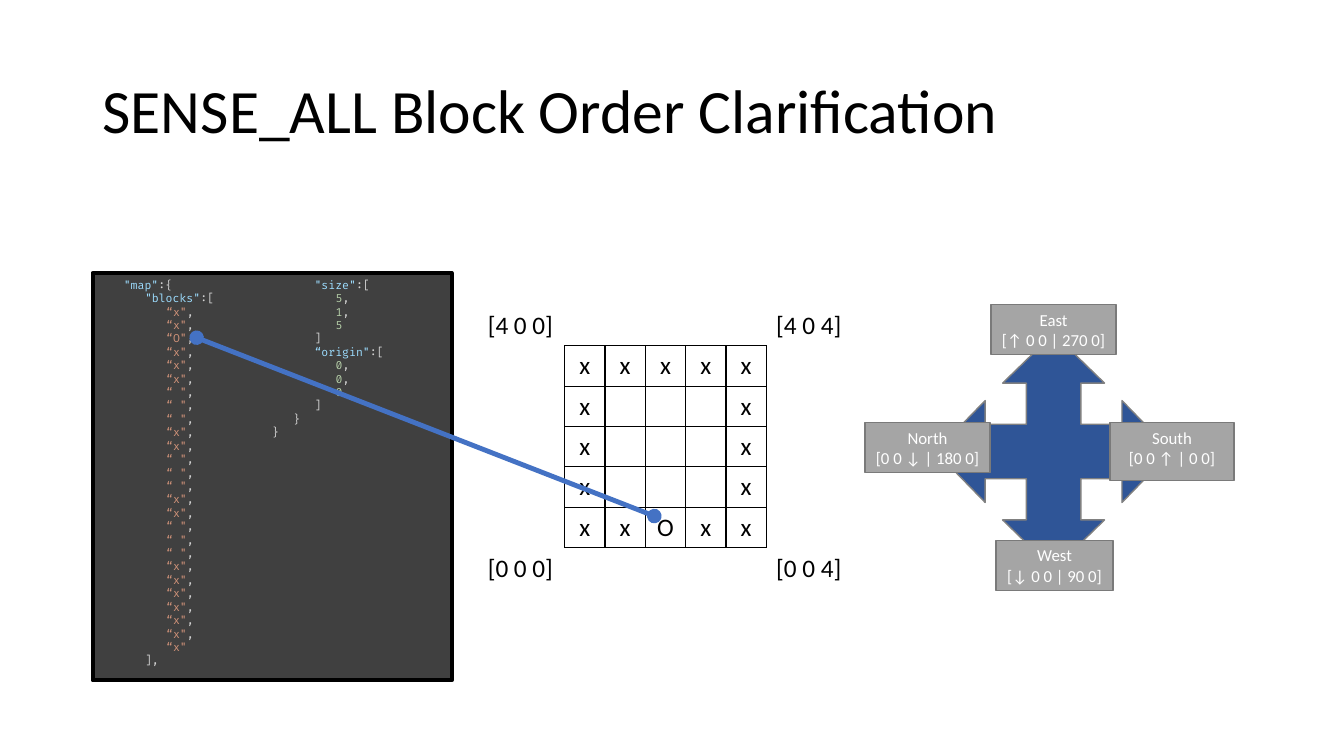
"""Build the SENSE_ALL block order slide: map listing, block grid and compass."""
import pptx
import pptx.dml.color
import pptx.enum.shapes
import pptx.enum.text
import pptx.oxml
import pptx.oxml.ns
import pptx.util

Inches = pptx.util.Inches
Pt = pptx.util.Pt
RGBColor = pptx.dml.color.RGBColor
Shape = pptx.enum.shapes.MSO_SHAPE
Align = pptx.enum.text.PP_ALIGN
Anchor = pptx.enum.text.MSO_ANCHOR

BLACK = RGBColor(0x00, 0x00, 0x00)
WHITE = RGBColor(0xFF, 0xFF, 0xFF)
PANEL = RGBColor(0x40, 0x40, 0x40)
PUNCTUATION = RGBColor(0xD4, 0xD4, 0xD4)
KEY = RGBColor(0x9C, 0xDC, 0xFE)
STRING = RGBColor(0xCE, 0x91, 0x78)
NUMBER = RGBColor(0xB5, 0xCE, 0xA8)
COMPASS = RGBColor(0x2F, 0x55, 0x97)
COMPASS_EDGE = RGBColor(0x80, 0x80, 0x80)
LABEL = RGBColor(0xA5, 0xA5, 0xA5)
LABEL_EDGE = RGBColor(0x7A, 0x7A, 0x7A)
POINTER = RGBColor(0x44, 0x72, 0xC4)


def write(paragraph, text, size=18, color=BLACK, font="Calibri", align=Align.LEFT):
    paragraph.alignment = align
    run = paragraph.add_run()
    run.text = text
    run.font.size = Pt(size)
    run.font.name = font
    run.font.color.rgb = color


def add_block(kind, box, fill, edge, weight):
    block = slide.shapes.add_shape(kind, *map(Inches, box))
    block.shadow.inherit = False
    block.fill.solid()
    block.fill.fore_color.rgb = fill
    block.line.color.rgb = edge
    block.line.width = Pt(weight)
    block.text_frame.vertical_anchor = Anchor.TOP
    return block


deck = pptx.Presentation()
deck.slide_width = Inches(13.33)
deck.slide_height = Inches(7.5)
slide = deck.slides.add_slide(deck.slide_layouts[6])

title = slide.shapes.add_textbox(Inches(0.92), Inches(0.4), Inches(11.5), Inches(1.45)).text_frame
title.word_wrap = True
title.vertical_anchor = Anchor.MIDDLE
title.paragraphs[0].line_spacing = 0.9
write(title.paragraphs[0], "SENSE_ALL Block Order Clarification", size=44)

block_rows = ["xxxxx", "x   x", "x   x", "x   x", "xxOxx"]
grid = slide.shapes.add_table(5, 5, Inches(5.6), Inches(3.43), Inches(2), Inches(2)).table
grid.first_row = False
grid.horz_banding = False
for column in grid.columns:
    column.width = Inches(0.4)
for r, block_row in enumerate(block_rows):
    grid.rows[r].height = Inches(0.4)
    for c, mark in enumerate(block_row):
        cell = grid.cell(r, c)
        cell.vertical_anchor = Anchor.MIDDLE
        write(cell.text_frame.paragraphs[0], mark.strip(), align=Align.CENTER)
        for side in ("lnL", "lnR", "lnT", "lnB"):
            cell._tc.get_or_add_tcPr().append(pptx.oxml.parse_xml(
                f'<a:{side} {pptx.oxml.ns.nsdecls("a")} w="12700"><a:solidFill>'
                f'<a:srgbClr val="{BLACK}"/></a:solidFill></a:{side}>'))
        cell.fill.background()

for corner, left, top in [("[0 0 0]", 4.74, 5.43), ("[0 0 4]", 7.6, 5.43),
                          ("[4 0 0]", 4.74, 3.02), ("[4 0 4]", 7.6, 3.02)]:
    coordinates = slide.shapes.add_textbox(Inches(left), Inches(top), Inches(0.86), Inches(0.4))
    coordinates.text_frame.word_wrap = False
    write(coordinates.text_frame.paragraphs[0], corner)

marks = "".join(reversed(block_rows)) + "x"
listing = [(1, '"map"', KEY, ":{"), (2, '"blocks"', KEY, ":[")]
listing += [(3, f'“{mark}"', STRING, ",") for mark in marks[:-1]]
listing += [(3, f'“{marks[-1]}"', STRING, ""), (2, "", KEY, "],")]
for name, values in [('"size"', "515"), ('“origin"', "000")]:
    listing.append((2, name, KEY, ":["))
    listing += [(3, value, NUMBER, ",") for value in values[:-1]]
    listing += [(3, values[-1], NUMBER, ""), (2, "", KEY, "]")]
listing += [(1, "", KEY, "}"), (0, "", KEY, "}")]

code = add_block(Shape.RECTANGLE, (0.92, 2.71, 3.56, 4.04), PANEL, BLACK, 3).text_frame
code.word_wrap = True
code._txBody.bodyPr.set("numCol", "2")
for i, (level, token, token_color, ending) in enumerate(listing):
    line = code.paragraphs[0] if i == 0 else code.add_paragraph()
    line._p.get_or_add_pPr().set("marL", str(Inches(0.21 * level)))
    for piece, color in [(token, token_color), (ending, PUNCTUATION)]:
        if piece:
            write(line, piece, size=8, color=color, font="Fira Code")

compass = add_block(Shape.QUAD_ARROW, (9.28, 3.31, 2.34, 2.34), COMPASS, COMPASS_EDGE, 1)
for i, ratio in enumerate((0.231, 0.216, 0.21)):
    compass.adjustments[i] = ratio

directions = [
    ("East", "[↑ 0 0 | 270 0]", (9.83, 3.02, 1.24, 0.5)),
    ("South", "[0 0 ↑ | 0 0]", (11.01, 4.19, 1.23, 0.58)),
    ("West", "[↓ 0 0 | 90 0]", (9.88, 5.36, 1.16, 0.5)),
    ("North", "[0 0 ↓ | 180 0]", (8.58, 4.19, 1.24, 0.5)),
]
for direction, heading, box in directions:
    label = add_block(Shape.RECTANGLE, box, LABEL, LABEL_EDGE, 1).text_frame
    label.word_wrap = False
    write(label.paragraphs[0], direction, size=12, color=WHITE, align=Align.CENTER)
    write(label.add_paragraph(), heading, size=12, color=WHITE, align=Align.CENTER)

pointer = slide.shapes.add_connector(
    pptx.enum.shapes.MSO_CONNECTOR.STRAIGHT,
    Inches(1.95), Inches(3.35), Inches(6.49), Inches(5.12))
pointer.line.color.rgb = POINTER
pointer.line.width = Pt(3.5)
for end in ("headEnd", "tailEnd"):
    pointer.line._get_or_add_ln().append(
        pptx.oxml.parse_xml(f'<a:{end} {pptx.oxml.ns.nsdecls("a")} type="oval"/>'))
pointer._element.spPr.append(
    pptx.oxml.parse_xml(f'<a:effectLst {pptx.oxml.ns.nsdecls("a")}/>'))

deck.save("out.pptx")
